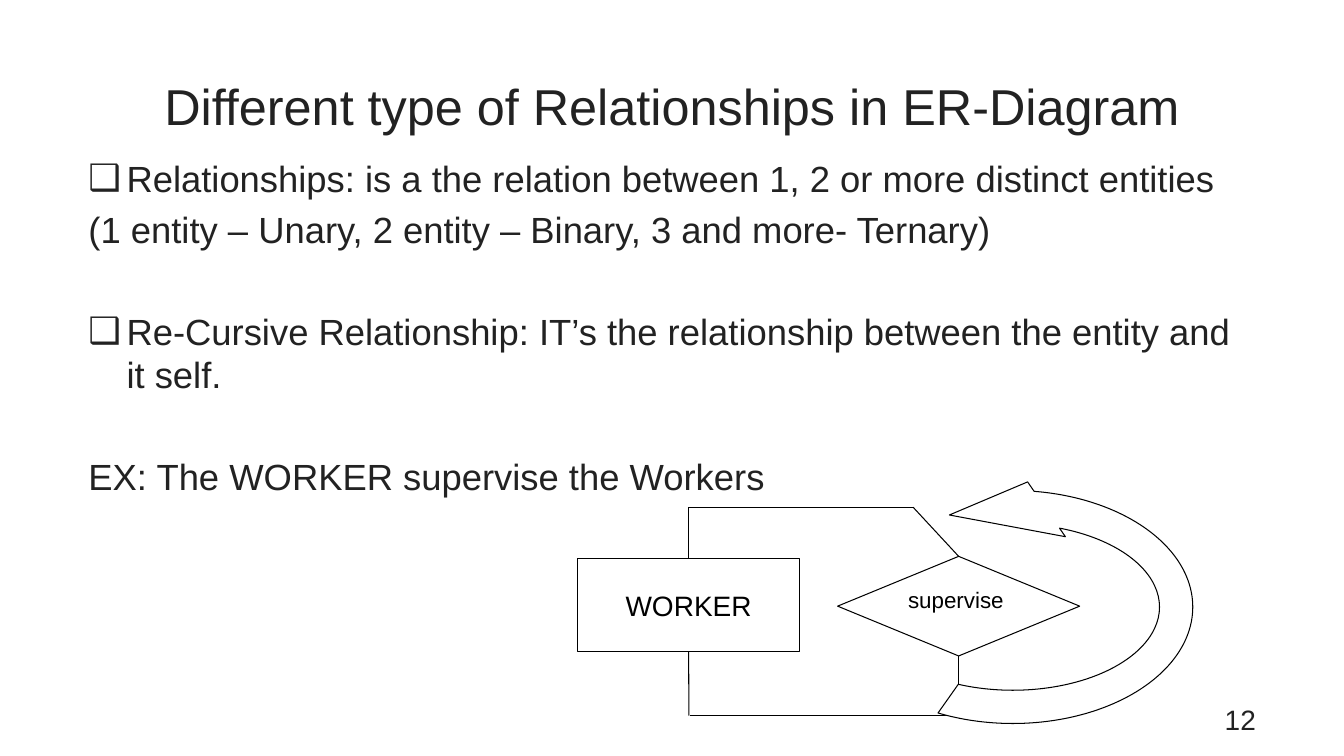
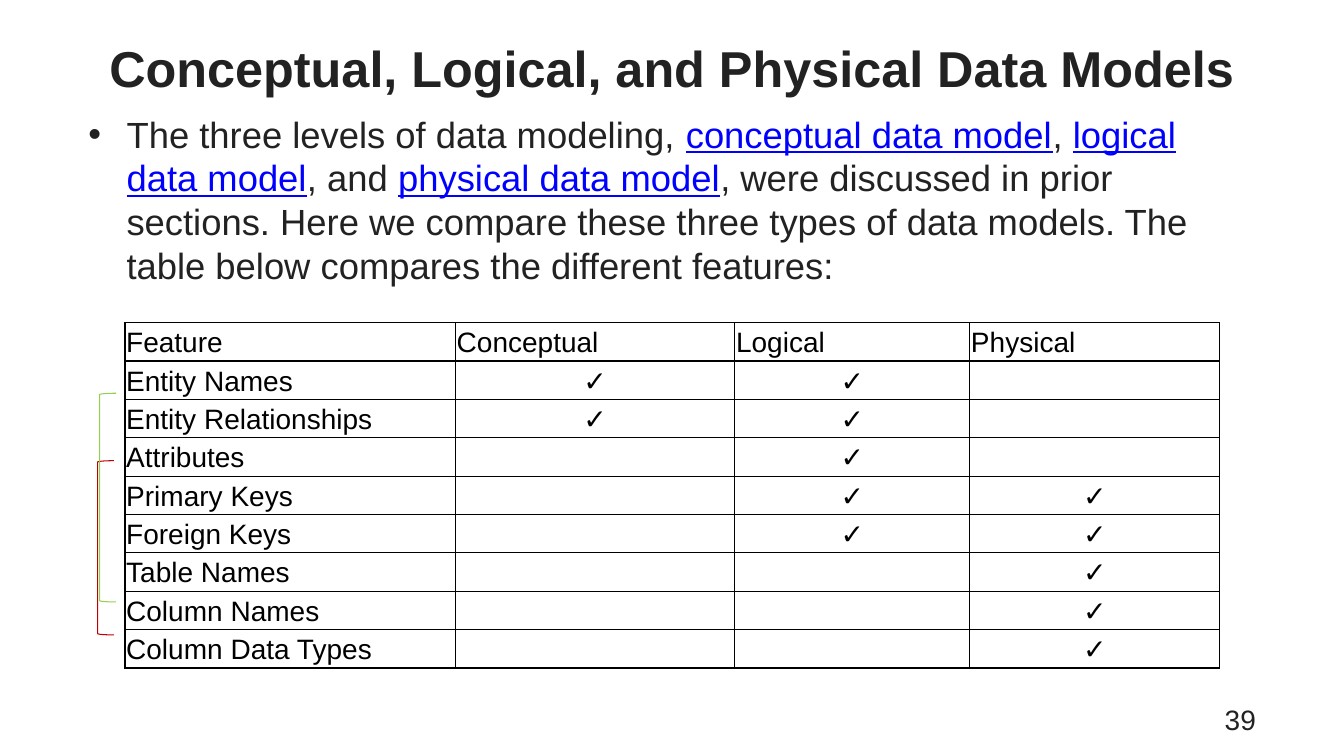
from dataclasses import dataclass

from lxml.etree import SubElement
from pptx import Presentation
from pptx.dml.color import RGBColor as Rgb
from pptx.enum.shapes import MSO_CONNECTOR as Connector, MSO_SHAPE as Preset
from pptx.enum.text import MSO_ANCHOR as Anchor, PP_ALIGN as Align
from pptx.oxml.ns import qn
from pptx.util import Cm, Pt


@dataclass(frozen=True)
class Theme:
    font: str = "Arial"
    text: str = "222222"
    ink: str = "000000"
    paper: str = "FFFFFF"
    link: str = "0000FF"
    red: str = "C00000"
    green: str = "92D050"
    title_size: float = 36
    body_size: float = 26
    label_size: float = 20
    small_size: float = 16
    line_width: float = 0.75
    border_width: float = 1
    table_spacing: float = 1.07
    para_gap: float = 5.2
    section_gap: float = 41.6


THEME = Theme()
LEFT, WIDTH = 1.98, 29.92
TITLE_ONLY = 5


def lengths(*values):
    return [Cm(value) for value in values]


class SlideBuilder:
    """Holds the theme and the slide being filled."""

    def __init__(self, deck, theme):
        self.deck, self.theme = deck, theme
        self.page = None

    # Text
    def span(self, para, text, size, color=None, bold=False, underline=False):
        run = para.add_run()
        run.text = text
        font = run.font
        font.name, font.size = self.theme.font, Pt(size)
        font.bold, font.underline = bold, underline
        font.color.rgb = Rgb.from_string(color or self.theme.text)

    def bullet(self, para, symbol):
        props = para._p.get_or_add_pPr()
        props.set("marL", str(Cm(0.96)))
        props.set("indent", str(Cm(-0.96)))
        SubElement(props, qn("a:buFont"), typeface=self.theme.font)
        SubElement(props, qn("a:buChar"), char=symbol)

    def start_page(self, title, number, top, height, bold=False):
        self.page = self.deck.slides.add_slide(self.deck.slide_layouts[TITLE_ONLY])
        box = self.page.shapes.title
        box.left, box.top, box.width, box.height = lengths(LEFT, top, WIDTH, height)
        box.text_frame.vertical_anchor = Anchor.MIDDLE
        para = box.text_frame.paragraphs[0]
        para.alignment = Align.CENTER
        self.span(para, title, self.theme.title_size, bold=bold)
        self.page_number(number)

    def page_number(self, number):
        box = self.page.shapes.add_textbox(*lengths(24.28, 17.58, 7.62, 1.07))
        box.text_frame.word_wrap = True
        para = box.text_frame.paragraphs[0]
        para.alignment = Align.RIGHT
        self.span(para, number, self.theme.label_size)

    def body(self, top, height, items):
        """Each item is (bullet, gap before, [(text, is link), ...])."""
        box = self.page.shapes.add_textbox(*lengths(LEFT, top, WIDTH, height))
        frame = box.text_frame
        frame.word_wrap = True
        for index, (symbol, gap, pieces) in enumerate(items):
            para = frame.add_paragraph() if index else frame.paragraphs[0]
            if symbol:
                self.bullet(para, symbol)
            para.space_before = Pt(gap)
            for text, is_link in pieces:
                color = self.theme.link if is_link else None
                self.span(para, text, self.theme.body_size, color, underline=is_link)

    # Shapes and lines
    def outline(self, line, color=None):
        line.color.rgb = Rgb.from_string(color or self.theme.ink)
        line.width = Pt(self.theme.line_width)

    def shape(self, preset, place, color=None, filled=True):
        shape = self.page.shapes.add_shape(preset, *lengths(*place))
        shape.shadow.inherit = False
        if filled:
            shape.fill.solid()
            shape.fill.fore_color.rgb = Rgb.from_string(self.theme.paper)
        else:
            shape.fill.background()
        self.outline(shape.line, color)
        return shape

    def label(self, shape, text, size, align, anchor):
        shape.text_frame.vertical_anchor = anchor
        para = shape.text_frame.paragraphs[0]
        para.alignment = align
        self.span(para, text, size, self.theme.ink)

    def line(self, start, end, begin_at=None, end_at=None, bent=False):
        kind = Connector.ELBOW if bent else Connector.STRAIGHT
        line = self.page.shapes.add_connector(kind, *lengths(*start, *end))
        props = line.element.spPr
        if bent:
            props.find(qn("a:prstGeom")).set("prst", "bentConnector2")
        if begin_at:
            line.begin_connect(*begin_at)
        if end_at:
            line.end_connect(*end_at)
        self.outline(line.line)
        SubElement(props, qn("a:effectLst"))

    def turning_arrow(self, place, adjustments):
        arrow = self.shape(Preset.CIRCULAR_ARROW, place)
        arrow.rotation = 90
        arrow.element.spPr.find(qn("a:xfrm")).set("flipH", "1")
        for index, value in enumerate(adjustments):
            arrow.adjustments[index] = value

    # Table
    def borders(self, cell):
        props = cell._tc.get_or_add_tcPr()
        for side in ("lnL", "lnR", "lnT", "lnB"):
            edge = SubElement(props, qn(f"a:{side}"), w=str(Pt(self.theme.border_width)))
            fill = SubElement(edge, qn("a:solidFill"))
            SubElement(fill, qn("a:srgbClr"), val=self.theme.ink)

    def table(self, left, top, widths, row_height, rows):
        size = lengths(left, top, sum(widths), row_height * len(rows))
        table = self.page.shapes.add_table(len(rows), len(widths), *size).table
        table.first_row = table.horz_banding = False
        for column, width in zip(table.columns, widths):
            column.width = Cm(width)
        for row, texts in zip(table.rows, rows):
            row.height = Cm(row_height)
            for cell, text in zip(row.cells, texts):
                self.cell(cell, text)

    def cell(self, cell, text):
        self.borders(cell)
        cell.fill.background()
        cell.vertical_anchor = Anchor.MIDDLE
        cell.margin_left = cell.margin_right = Cm(0.03)
        cell.margin_top = cell.margin_bottom = Cm(0.03)
        para = cell.text_frame.paragraphs[0]
        para.line_spacing = self.theme.table_spacing
        if text:
            para.alignment = Align.CENTER if text == "✓" else Align.LEFT
            self.span(para, text, self.theme.label_size, self.theme.ink)


def relationships_slide(builder):
    theme = builder.theme
    builder.start_page("Different type of Relationships in ER-Diagram", "12", 1.07, 3.18)
    lines = [
        ("❑", 0, "Relationships: is a the relation between 1, 2 or more distinct entities"),
        (None, theme.para_gap, "(1 entity – Unary, 2 entity – Binary, 3 and more- Ternary)"),
        ("❑", theme.section_gap, "Re-Cursive Relationship: IT’s the relationship between "
                                 "the entity and it self."),
        (None, theme.section_gap, "EX: The WORKER supervise the Workers"),
    ]
    builder.body(3.81, 13.41, [(mark, gap, [(text, False)]) for mark, gap, text in lines])

    # Entity and relationship
    worker = builder.shape(Preset.RECTANGLE, (14.55, 14.07, 5.61, 2.36))
    builder.label(worker, "WORKER", theme.label_size, Align.CENTER, Anchor.MIDDLE)
    supervise = builder.shape(Preset.DIAMOND, (21.11, 14.02, 6.1, 2.51))
    builder.label(supervise, "supervise", theme.small_size, Align.LEFT, Anchor.TOP)

    # Links between them
    builder.line((23.01, 12.8), (17.36, 14.07), end_at=(worker, 0), bent=True)
    builder.line((23.01, 12.78), (24.16, 14.02), end_at=(supervise, 0))
    builder.line((17.4, 18.03), (24.16, 16.53), end_at=(supervise, 2), bent=True)
    builder.line((17.36, 16.43), (17.36, 18.03), begin_at=(worker, 2))
    builder.turning_arrow((22.17, 10.34, 6.71, 9.91), (0.125, 32.33, 204.58, 86.87, 0.125))


def data_models_slide(builder):
    theme = builder.theme
    builder.start_page("Conceptual, Logical, and Physical Data Models", "39",
                       0.69, 2.01, bold=True)
    builder.body(2.69, 12.7, [("•", 0, [
        ("The three levels of data modeling, ", False),
        ("conceptual data model", True),
        (", ", False),
        ("logical data model", True),
        (", and ", False),
        ("physical data model", True),
        (", were discussed in prior sections. Here we compare these three types of "
         "data models. The table below compares the different features:", False),
    ])])

    # Features and the models that have them
    models = ("Conceptual", "Logical", "Physical")
    features = {
        "Entity Names": "CL",
        "Entity Relationships": "CL",
        "Attributes": "L",
        "Primary Keys": "LP",
        "Foreign Keys": "LP",
        "Table Names": "P",
        "Column Names": "P",
        "Column Data Types": "P",
    }
    rows = [("Feature", *models)]
    for feature, owners in features.items():
        rows.append((feature, *("✓" if model[0] in owners else "" for model in models)))
    builder.table(3.15, 8.13, (8.33, 7.04, 5.92, 6.3), 0.91, rows)

    # Brackets beside the table
    builder.shape(Preset.LEFT_BRACKET, (2.46, 11.61, 0.41, 4.39), theme.red, filled=False)
    builder.shape(Preset.LEFT_BRACKET, (2.51, 9.91, 0.41, 5.26), theme.green, filled=False)


def main():
    deck = Presentation()
    deck.slide_width, deck.slide_height = lengths(33.87, 19.05)
    builder = SlideBuilder(deck, THEME)
    relationships_slide(builder)
    data_models_slide(builder)
    deck.save("out.pptx")


if __name__ == "__main__":
    main()
